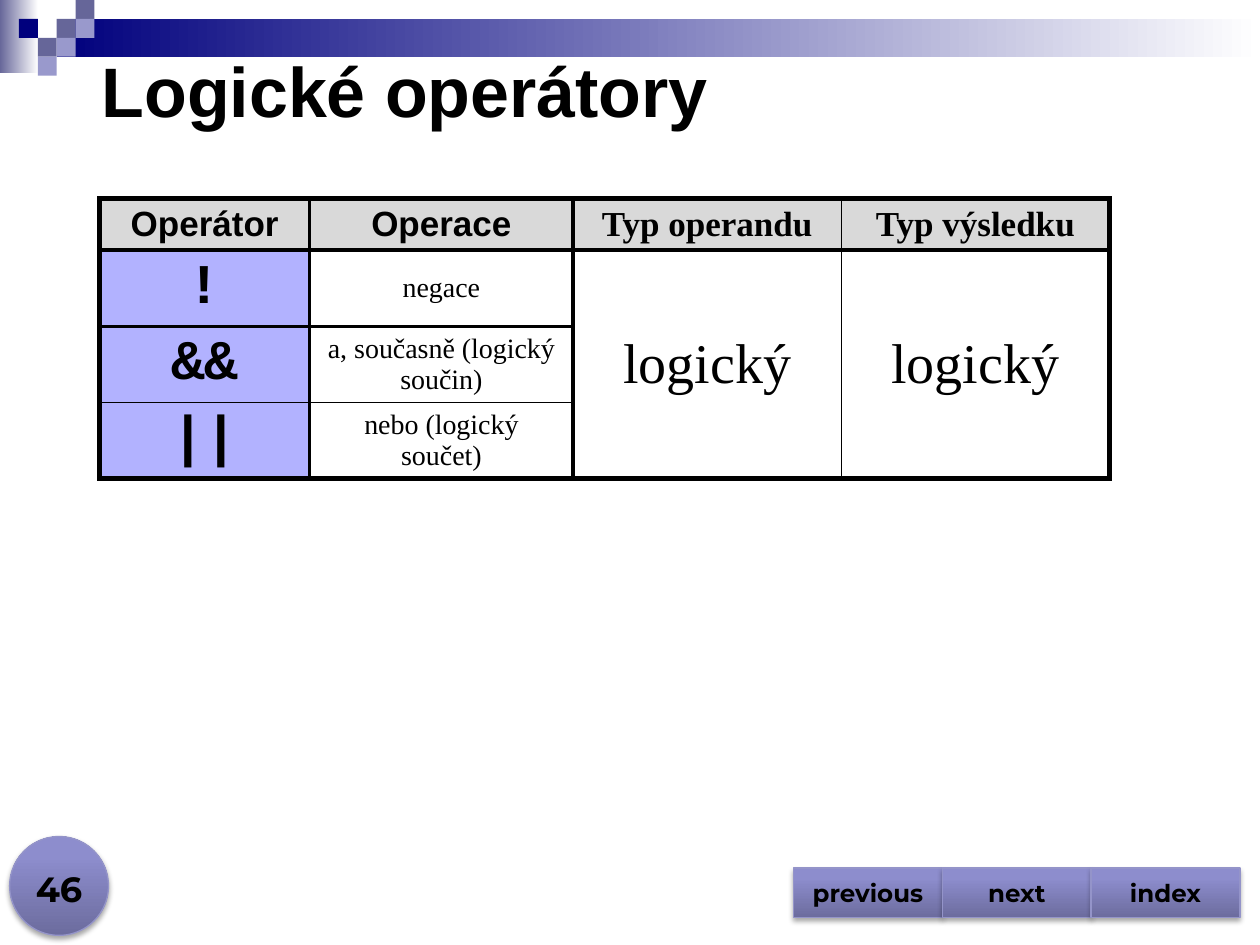
from dataclasses import dataclass

from lxml import etree
from pptx import Presentation
from pptx import util as u
from pptx.dml.color import RGBColor
from pptx.enum import shapes, text
from pptx.oxml.ns import qn

Pt = u.Pt
KIND = shapes.MSO_SHAPE
MID = text.MSO_ANCHOR.MIDDLE
MONO, SERIF, SANS, BRAND = "Courier New", "Times New Roman", "Arial", "Montserrat"


@dataclass(frozen=True)
class Theme:
    ink: str = "000000"
    navy: str = "00007D"
    slate: str = "666699"
    lilac: str = "9999CC"
    white: str = "FFFFFF"
    head: str = "D9D9D9"
    key: str = "B2B2FF"
    edge: str = "9494C9"
    gloss: tuple = ((0, "6C6C9E"), (80, "8D8DCD"), (100, "8C8CCF"))
    title: int = 40
    big: int = 32
    mid: int = 20
    body: int = 16
    nav: int = 14


T = Theme()


@dataclass(frozen=True)
class Box:
    x: float
    y: float
    w: float
    h: float

    def pts(self) -> tuple:
        return Pt(self.x), Pt(self.y), Pt(self.w), Pt(self.h)


@dataclass(frozen=True)
class Tile:
    col: int
    row: int
    color: str


@dataclass(frozen=True)
class Entry:
    row: int
    col: int
    label: str
    size: int
    font: str
    bold: bool = False
    fill: str = ""
    span: int = 1


TILES = [Tile(3, 1, T.slate), Tile(4, 0, T.slate), Tile(4, 1, T.lilac),
         Tile(2, 2, T.slate), Tile(1, 1, T.navy), Tile(3, 2, T.lilac),
         Tile(2, 3, T.lilac)]

ENTRIES = [
    Entry(0, 0, "Operátor", T.mid, SANS, True, T.head),
    Entry(0, 1, "Operace", T.mid, SANS, True, T.head),
    Entry(0, 2, "Typ operandu", T.mid, SERIF, True, T.head),
    Entry(0, 3, "Typ výsledku", T.mid, SERIF, True, T.head),
    Entry(1, 0, "!", T.big, MONO, True, T.key),
    Entry(2, 0, "&&", T.big, MONO, True, T.key),
    Entry(3, 0, "||", T.big, MONO, True, T.key),
    Entry(1, 1, "negace", T.body, SERIF),
    Entry(2, 1, "a, současně (logický součin)", T.body, SERIF),
    Entry(3, 1, "nebo (logický součet)", T.body, SERIF),
    Entry(1, 2, "logický", T.big, SERIF, span=3),
    Entry(1, 3, "logický", T.big, SERIF, span=3),
]
COLS = [120, 150.5, 153.25, 153.25]
ROWS = [29.5, 43.5, 43.5, 43.5]
V_LINES = [3, 2.25, 2.25, 1, 3]
H_LINES = [3, 2.25, 2, 1, 3]


def rgb(color: str) -> RGBColor:
    return RGBColor.from_string(color)


def node(parent, tag: str, **attrs):
    return etree.SubElement(parent, qn(tag), {k: str(v) for k, v in attrs.items()})


def write(frame, words: str, *, size: int, font: str, bold: bool = True,
          align=text.PP_ALIGN.CENTER) -> None:
    frame.word_wrap = True
    para = frame.paragraphs[0]
    para.alignment = align
    run = para.add_run()
    run.text = words
    run.font.size, run.font.name, run.font.bold = Pt(size), font, bold
    run.font.color.rgb = rgb(T.ink)


def label(slide, box: Box, words: str, anchor, **style) -> None:
    frame = slide.shapes.add_textbox(*box.pts()).text_frame
    frame.vertical_anchor = anchor
    write(frame, words, **style)


def block(slide, box: Box, color: str = "", kind=KIND.RECTANGLE):
    shape = slide.shapes.add_shape(kind, *box.pts())
    shape.shadow.inherit = False
    shape.line.fill.background()
    if color:
        shape.fill.solid()
        shape.fill.fore_color.rgb = rgb(color)
    return shape


def blend(shape, stops: tuple, angle: float = 0) -> None:
    """Fill with a linear gradient; the angle runs counter-clockwise."""
    shape.fill.gradient()
    shape.fill.gradient_angle = angle
    group = shape.element.spPr.find(".//" + qn("a:gsLst"))
    for old in list(group):
        group.remove(old)
    for place, color in stops:
        node(node(group, "a:gs", pos=place * 1000), "a:srgbClr", val=color)


def button(slide, box: Box, kind):
    """Glossy shape with a thin edge and a soft shadow below."""
    shape = block(slide, box, kind=kind)
    blend(shape, T.gloss, 90)
    shape.line.color.rgb = rgb(T.edge)
    shape.line.width = Pt(0.75)
    effects = shape.element.spPr.find(qn("a:effectLst"))
    shade = node(effects, "a:outerShdw", blurRad=Pt(3.1), dist=Pt(1.8),
                 dir=5400000, rotWithShape=0)
    node(node(shade, "a:srgbClr", val=T.ink), "a:alpha", val=35000)
    return shape


def border(cell, side: str, width: float) -> None:
    line = node(cell._tc.get_or_add_tcPr(), "a:ln" + side, w=Pt(width))
    node(node(line, "a:solidFill"), "a:srgbClr", val=T.ink)


def grid(slide, x: float, y: float) -> None:
    box = Box(x, y, sum(COLS), sum(ROWS))
    table = slide.shapes.add_table(len(ROWS), len(COLS), *box.pts()).table
    table.horz_banding = table.first_row = False
    for col, width in zip(table.columns, COLS):
        col.width = Pt(width)
    for row, height in zip(table.rows, ROWS):
        row.height = Pt(height)
    for r in range(len(ROWS)):
        for c in range(len(COLS)):
            cell = table.cell(r, c)
            border(cell, "L", V_LINES[c])
            border(cell, "R", V_LINES[c + 1])
            if c < 2 or r < 2:
                border(cell, "T", H_LINES[r])
            if c < 2 or r in (0, 3):
                border(cell, "B", H_LINES[r + 1])
            cell.fill.background()
    for e in ENTRIES:
        cell = table.cell(e.row, e.col)
        if e.span > 1:
            cell.merge(table.cell(e.row + e.span - 1, e.col))
            border_end = cell._tc.tcPr
            if border_end.find(qn("a:lnB")) is None:
                border(cell, "B", H_LINES[-1])
                border_end.find(qn("a:lnT")).addnext(border_end.find(qn("a:lnB")))
        if e.fill:
            cell.fill.solid()
            cell.fill.fore_color.rgb = rgb(e.fill)
        cell.vertical_anchor = MID
        write(cell.text_frame, e.label, size=e.size, font=e.font, bold=e.bold)


def main() -> None:
    deck = Presentation()
    deck.slide_width, deck.slide_height = Pt(720), Pt(540)
    slide = deck.slides.add_slide(deck.slide_layouts[6])

    for box, color in ((Box(0, 0, 22, 42), T.slate),
                       (Box(32.4, 10.8, 687.6, 21.6), T.navy)):
        blend(block(slide, box), ((0, color), (100, T.white)))
    side = 10.8
    for tile in TILES:
        block(slide, Box(tile.col * side, tile.row * side, side, side), tile.color)

    grid(slide, 57, 113.4)
    label(slide, Box(51, 22.5, 639, 57), "Logické operátory", MID,
          size=T.title, font=SANS, align=text.PP_ALIGN.LEFT)

    button(slide, Box(5.5, 478, 56.5, 56.5), KIND.OVAL)
    label(slide, Box(0, 487.5, 67.5, 36), "46", text.MSO_ANCHOR.BOTTOM,
          size=T.mid, font=BRAND)
    wide = 85
    for i, name in enumerate(("previous", "next", "index")):
        shape = button(slide, Box(453.5 + i * wide, 496, wide, 28.3),
                       KIND.ACTION_BUTTON_CUSTOM)
        shape.text_frame.vertical_anchor = MID
        write(shape.text_frame, name, size=T.nav, font=BRAND)

    deck.save("out.pptx")


if __name__ == "__main__":
    main()
